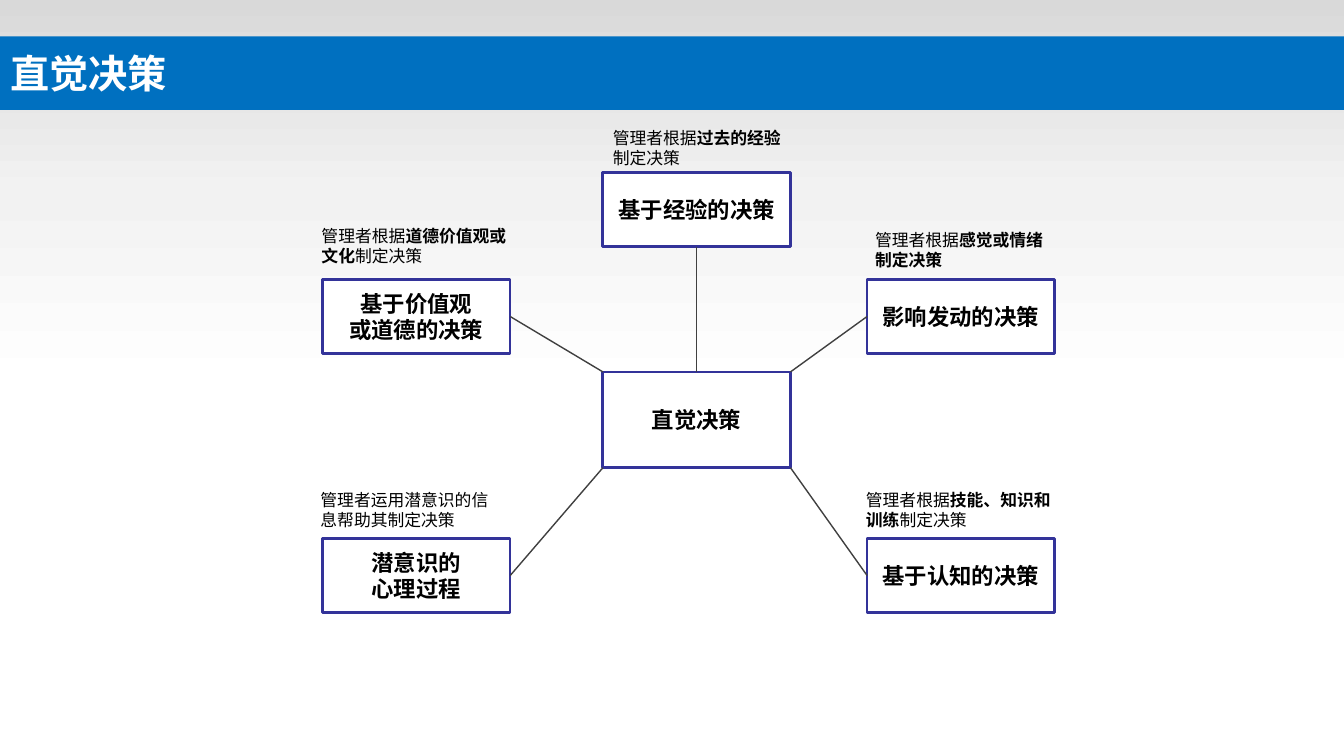
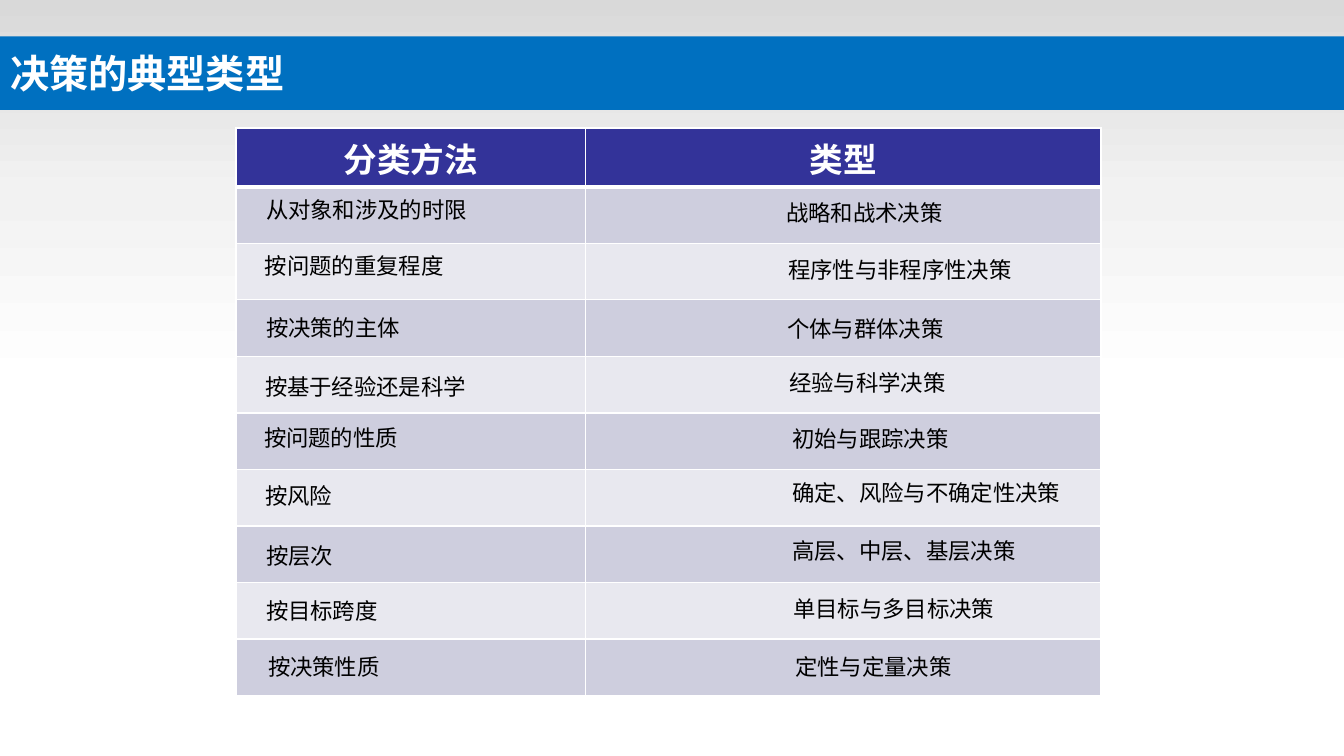
import copy
from dataclasses import dataclass

import lxml.etree
import pptx
import pptx.dml.color
import pptx.enum.shapes
import pptx.enum.text
import pptx.oxml.ns
import pptx.util

Inches = pptx.util.Inches
Pt = pptx.util.Pt
qn = pptx.oxml.ns.qn
RGB = pptx.dml.color.RGBColor.from_string
PP_ALIGN = pptx.enum.text.PP_ALIGN
MIDDLE = pptx.enum.text.MSO_ANCHOR.MIDDLE
RECTANGLE = pptx.enum.shapes.MSO_SHAPE.RECTANGLE


@dataclass(frozen=True)
class Theme:
    title_band: str = "0070C0"
    strip: str = "D9D9D9"
    backdrop: tuple = ("D9D9D9", "F2F2F2", "FFFFFF")
    accent: str = "333399"
    connector: str = "404040"
    bands: tuple = ("E8E8EF", "CECEDE")
    white: str = "FFFFFF"
    black: str = "000000"
    body_font: str = "Arial"
    chinese_font: str = "Noto Sans CJK SC"
    title_size: int = 28
    header_size: int = 24
    body_size: int = 16
    note_size: int = 12


theme = Theme()


def format_text(text_frame, size, color, bold=False, align=PP_ALIGN.LEFT, name=theme.body_font):
    for paragraph in text_frame.paragraphs:
        paragraph.alignment = align
        font = paragraph.font
        font.name = name
        font.size = Pt(size)
        font.bold = bold
        font.color.rgb = RGB(color)
        east_asian = lxml.etree.SubElement(font._element, qn("a:ea"))
        east_asian.set("typeface", theme.chinese_font)


def add_box(slide, left, top, width, height, text):
    box = slide.shapes.add_shape(RECTANGLE, Inches(left), Inches(top), Inches(width), Inches(height))
    box.shadow.inherit = False
    box.fill.solid()
    box.fill.fore_color.rgb = RGB(theme.white)
    box.line.color.rgb = RGB(theme.accent)
    box.line.width = Pt(2)
    box.text_frame.text = text
    box.text_frame.word_wrap = True
    box.text_frame.vertical_anchor = MIDDLE
    format_text(box.text_frame, theme.body_size, theme.black, True, PP_ALIGN.CENTER)
    return box


presentation = pptx.Presentation()
presentation.slide_width = Inches(13.33)
presentation.slide_height = Inches(7.5)
title_only = presentation.slide_layouts[5]

slides = []
for title_text in ("直觉决策", "决策的典型类型"):
    slide = presentation.slides.add_slide(title_only)
    title = slide.shapes.title
    title.left, title.top = Inches(0), Inches(0.36)
    title.width, title.height = presentation.slide_width, Inches(0.73)
    title.fill.solid()
    title.fill.fore_color.rgb = RGB(theme.title_band)
    title.text_frame.text = title_text
    title.text_frame.auto_size = pptx.enum.text.MSO_AUTO_SIZE.NONE
    title.text_frame.vertical_anchor = MIDDLE
    format_text(title.text_frame, theme.title_size, theme.white, True, name=theme.chinese_font)
    slides.append(slide)
diagram_slide, table_slide = slides

backdrop = diagram_slide.shapes.add_shape(RECTANGLE, 0, 0, presentation.slide_width, Inches(3.83))
backdrop.fill.gradient()
backdrop.fill.gradient_angle = 270
stop_list = backdrop._element.spPr.find(".//" + qn("a:gsLst"))
stop_list.append(copy.deepcopy(stop_list[-1]))
for index, stop in enumerate(backdrop.fill.gradient_stops):
    stop.position = index / 2
    stop.color.rgb = RGB(theme.backdrop[index])

strip = diagram_slide.shapes.add_shape(
    RECTANGLE, 0, Inches(0.76), presentation.slide_width, Inches(0.24))
strip.fill.solid()
strip.fill.fore_color.rgb = RGB(theme.strip)

for index, shape in enumerate((backdrop, strip)):
    shape.shadow.inherit = False
    shape.line.fill.background()
    shape._element.nvSpPr.cNvPr.set("id", str(100 + index))
    title_only.shapes._spTree.insert(2 + index, shape._element)

box_width, box_height = 1.86, 0.74
center_left, center_top, center_height = 5.98, 3.69, 0.95
center_right, center_bottom = center_left + box_width, center_top + center_height
center_middle = center_left + box_width / 2
left_column, right_column = 3.2, 8.6
upper_row, lower_row = 2.77, 5.34
bottom_site, left_site, right_site = 2, 1, 3

add_box(diagram_slide, center_left, center_top, box_width, center_height, "直觉决策")

branches = [
    (center_left, 1.71, "基于经验的决策", bottom_site, center_middle, center_top,
     (5.98, 1.22, 2), [("管理者根据", False), ("过去的经验", True), ("制定决策", False)]),
    (left_column, upper_row, "基于价值观\n或道德的决策", right_site, center_left, center_top,
     (3.09, 2.19, 2.09), [("管理者根据", False), ("道德价值观或文化", True), ("制定决策", False)]),
    (right_column, upper_row, "影响发动的决策", left_site, center_right, center_top,
     (8.58, 2.23, 1.89), [("管理者根据", False), ("感觉或情绪制定决策", True)]),
    (left_column, lower_row, "潜意识的\n心理过程", right_site, center_left, center_bottom,
     (3.08, 4.81, 1.89), [("管理者运用潜意识的信息帮助其制定决策", False)]),
    (right_column, lower_row, "基于认知的决策", left_site, center_right, center_bottom,
     (8.49, 4.81, 2.1), [("管理者根据", False), ("技能、知识和训练", True), ("制定决策", False)]),
]
for left, top, label, site, end_x, end_y, note_place, note_runs in branches:
    box = add_box(diagram_slide, left, top, box_width, box_height, label)

    connector = diagram_slide.shapes.add_connector(
        pptx.enum.shapes.MSO_CONNECTOR.STRAIGHT, 0, 0, Inches(end_x), Inches(end_y))
    connector.begin_connect(box, site)
    connector.line.color.rgb = RGB(theme.connector)
    connector.line.width = Pt(1)
    lxml.etree.SubElement(connector._element.spPr, qn("a:effectLst"))

    note_left, note_top, note_width = note_place
    note = diagram_slide.shapes.add_textbox(
        Inches(note_left), Inches(note_top), Inches(note_width), Inches(0.5))
    note.text_frame.word_wrap = True
    for text, bold in note_runs:
        run = note.text_frame.paragraphs[0].add_run()
        run.text = text
        run.font.bold = bold
    format_text(note.text_frame, theme.note_size, theme.black)

headers = ("分类方法", "类型")
column_widths = (3.47, 5.11)
row_count = 10
table_height = Inches(5.61)
table = table_slide.shapes.add_table(
    row_count, len(headers), Inches(2.34), Inches(1.27),
    Inches(sum(column_widths)), table_height).table
table.horz_banding = False
for column, width in zip(table.columns, column_widths):
    column.width = Inches(width)

for row_index, row in enumerate(table.rows):
    row.height = table_height // row_count
    is_header = row_index == 0
    border_widths = {
        "a:lnL": 1,
        "a:lnR": 1,
        "a:lnT": 3 if row_index == 1 else 1,
        "a:lnB": 3 if is_header else 1,
    }
    for header, cell in zip(headers, row.cells):
        if is_header:
            cell.text = header
            format_text(cell.text_frame, theme.header_size, theme.white, True, PP_ALIGN.CENTER)
        for tag, width in border_widths.items():
            border = lxml.etree.SubElement(cell._tc.get_or_add_tcPr(), qn(tag), w=str(Pt(width)))
            border_fill = lxml.etree.SubElement(border, qn("a:solidFill"))
            lxml.etree.SubElement(border_fill, qn("a:srgbClr"), val=theme.white)
        cell.fill.solid()
        cell.fill.fore_color.rgb = RGB(theme.accent if is_header else theme.bands[row_index % 2])

entries = [
    (2.54, 1.9, 2.22, "从对象和涉及的时限"),
    (7.7, 1.93, 1.77, "战略和战术决策"),
    (2.53, 2.45, 2, "按问题的重复程度"),
    (7.72, 2.49, 2.45, "程序性与非程序性决策"),
    (2.54, 3.07, 1.55, "按决策的主体"),
    (7.71, 3.08, 1.77, "个体与群体决策"),
    (2.53, 3.65, 2.22, "按基于经验还是科学"),
    (7.73, 3.61, 1.77, "经验与科学决策"),
    (2.52, 4.16, 1.55, "按问题的性质"),
    (7.76, 4.17, 1.77, "初始与跟踪决策"),
    (2.53, 4.73, 0.88, "按风险"),
    (7.76, 4.7, 2.89, "确定、风险与不确定性决策"),
    (2.54, 5.33, 0.88, "按层次"),
    (7.76, 5.28, 2.45, "高层、中层、基层决策"),
    (2.54, 5.87, 1.32, "按目标跨度"),
    (7.77, 5.86, 2.22, "单目标与多目标决策"),
    (2.56, 6.43, 1.32, "按决策性质"),
    (7.79, 6.43, 1.77, "定性与定量决策"),
]
for left, top, width, text in entries:
    entry = table_slide.shapes.add_textbox(Inches(left), Inches(top), Inches(width), Inches(0.37))
    entry.text_frame.text = text
    entry.text_frame.word_wrap = False
    format_text(entry.text_frame, theme.body_size, theme.black)

presentation.save("out.pptx")
